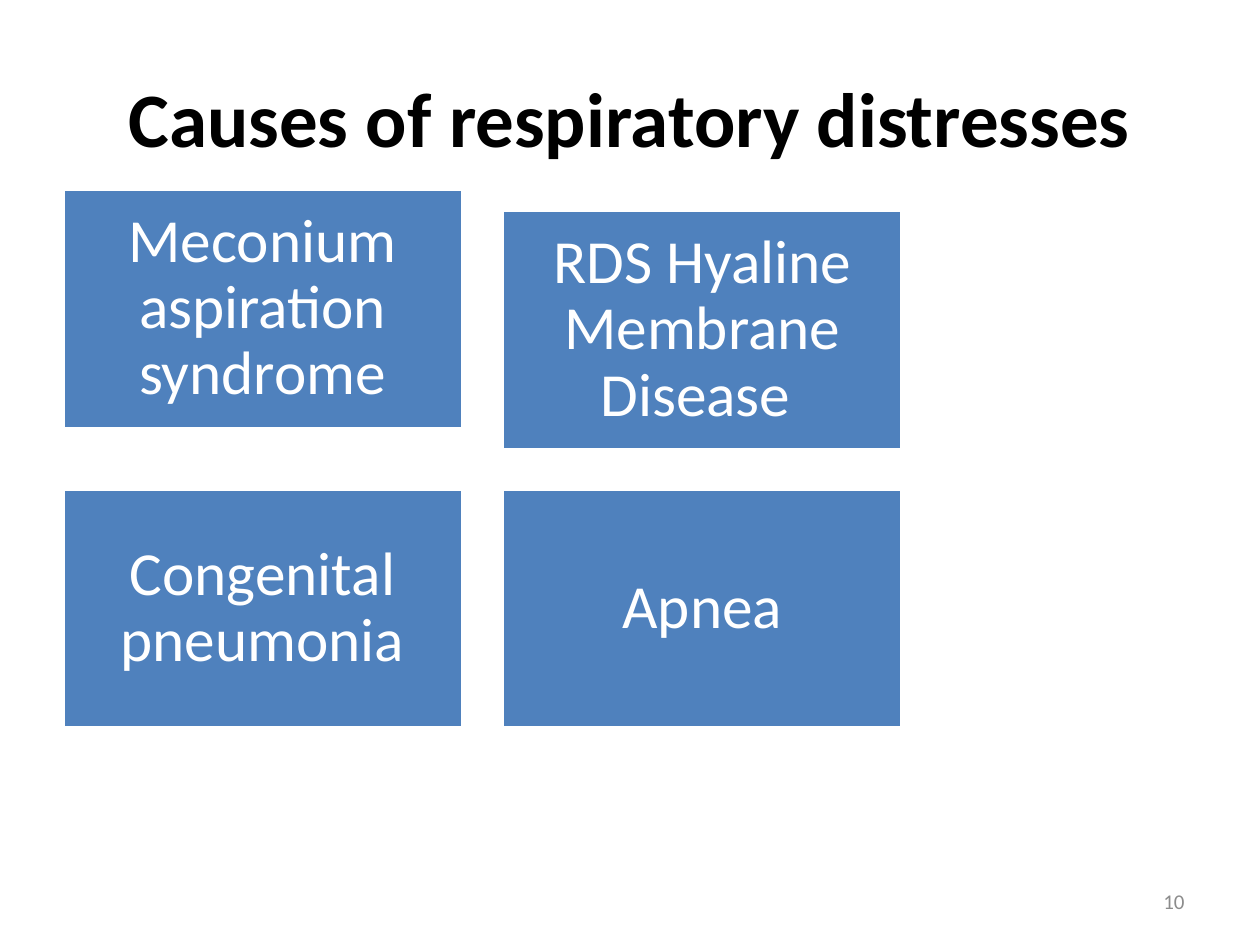
from dataclasses import dataclass

import pptx
import pptx.dml.color
import pptx.enum.shapes
import pptx.enum.text
import pptx.util

Inches = pptx.util.Inches
Align = pptx.enum.text.PP_ALIGN


@dataclass
class Box:
    text: str
    left: float
    top: float
    width: float = 3.17
    height: float = 1.9


@dataclass
class Style:
    size: int
    color: str
    align: Align = Align.CENTER
    bold: bool = False
    inset: float = 0.1
    lead: float = 1.0


def tint(code: str) -> pptx.dml.color.RGBColor:
    return pptx.dml.color.RGBColor.from_string(code)


def apply(target, values: dict) -> None:
    for name, value in values.items():
        setattr(target, name, value)


def place(box: Box) -> list:
    return [Inches(v) for v in (box.left, box.top, box.width, box.height)]


def write(shape, text: str, style: Style) -> None:
    frame = shape.text_frame
    apply(frame, {
        "word_wrap": True,
        "vertical_anchor": pptx.enum.text.MSO_ANCHOR.MIDDLE,
    })
    if style.inset != 0.1:
        sides = ("left", "right", "top", "bottom")
        apply(frame, {f"margin_{side}": Inches(style.inset) for side in sides})
    line = frame.paragraphs[0]
    apply(line, {"alignment": style.align, "line_spacing": style.lead})
    run = line.add_run()
    run.text = text
    apply(run.font, {
        "name": "Calibri",
        "size": pptx.util.Pt(style.size),
        "bold": style.bold,
    })
    run.font.color.rgb = tint(style.color)


def label(slide, box: Box, style: Style) -> None:
    write(slide.shapes.add_textbox(*place(box)), box.text, style)


def card(slide, box: Box, style: Style) -> None:
    kind = pptx.enum.shapes.MSO_SHAPE.RECTANGLE
    shape = slide.shapes.add_shape(kind, *place(box))
    shape.shadow.inherit = False
    shape.fill.solid()
    shape.fill.fore_color.rgb = tint("4F81BD")
    shape.line.color.rgb = tint("FFFFFF")
    shape.line.width = pptx.util.Pt(2)
    write(shape, box.text, style)


def main() -> None:
    deck = pptx.Presentation()
    apply(deck, {"slide_width": Inches(10), "slide_height": Inches(7.5)})
    slide = deck.slides.add_slide(deck.slide_layouts[6])

    title = Box("Causes of respiratory distresses", 0.5, 0.3, 9, 1.25)
    label(slide, title, Style(44, "000000", bold=True))
    number = Box("10", 7.17, 6.95, 2.33, 0.4)
    label(slide, number, Style(12, "8C8C8C", Align.RIGHT))

    left, right, low = 0.5, 3.99, 3.88
    causes = [
        Box("Meconium aspiration syndrome", left, 1.5),
        Box("RDS Hyaline Membrane Disease ", right, 1.67),
        Box("Congenital pneumonia", left, low),
        Box("Apnea", right, low),
    ]
    style = Style(35, "FFFFFF", inset=0.15, lead=0.9)
    for cause in causes:
        card(slide, cause, style)

    deck.save("out.pptx")


if __name__ == "__main__":
    main()
